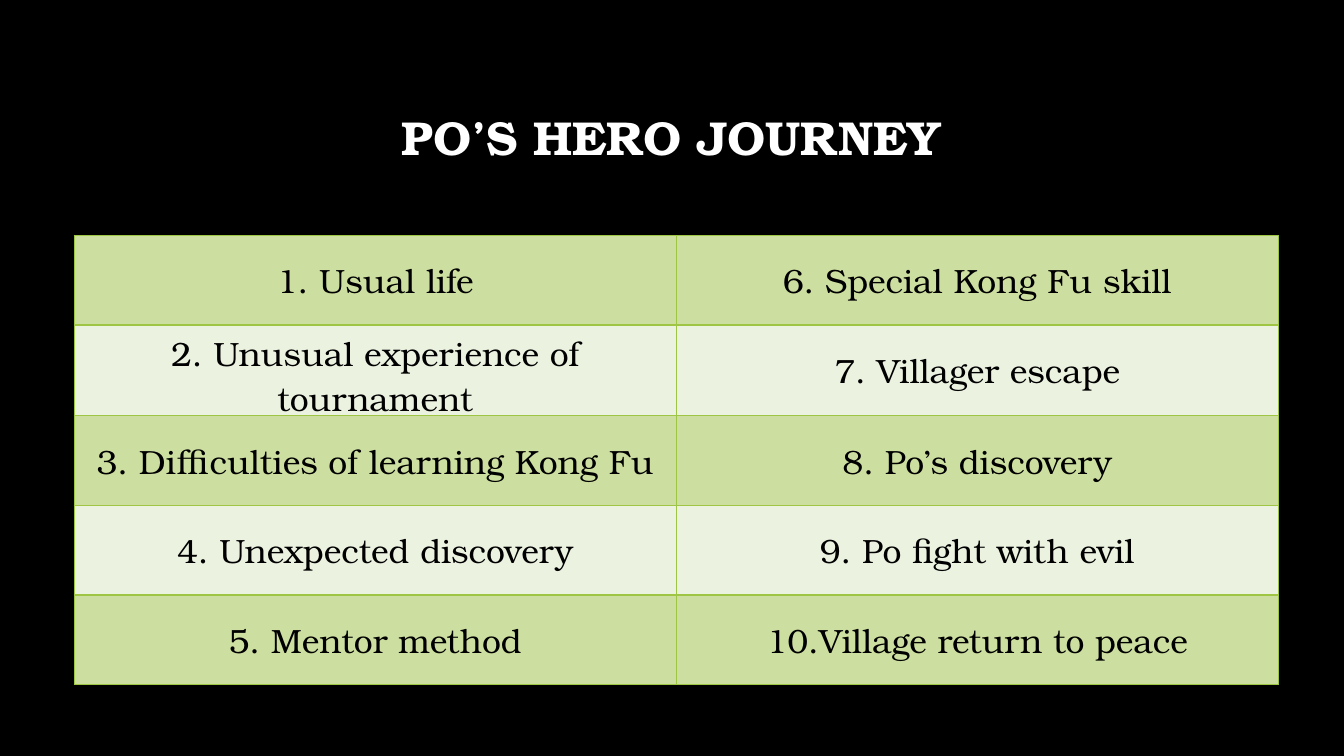
from lxml import etree
from pptx import Presentation
from pptx.dml.color import RGBColor
from pptx.enum import text
from pptx.oxml import ns
from pptx.util import Pt

BLACK = RGBColor(0x00, 0x00, 0x00)
WHITE = RGBColor(0xFF, 0xFF, 0xFF)
GREEN = RGBColor(0x9E, 0xC5, 0x44)
BAND_GREEN = RGBColor(0xCD, 0xDF, 0xA0)
PALE_GREEN = RGBColor(0xEB, 0xF2, 0xE0)
FONT = "TeX Gyre Bonum"

TITLE = "PO’S HERO JOURNEY"
STAGES = [
    ("1. Usual life", "6. Special Kong Fu skill"),
    ("2. Unusual experience of tournament", "7. Villager escape"),
    ("3. Difficulties of learning Kong Fu", "8. Po’s discovery"),
    ("4. Unexpected discovery", "9. Po fight with evil"),
    ("5. Mentor method", "10.Village return to peace"),
]


def write_centred(frame, words, size, color, bold=False):
    para = frame.paragraphs[0]
    para.alignment = text.PP_ALIGN.CENTER
    span = para.add_run()
    span.text = words
    span.font.name = FONT
    span.font.size = Pt(size)
    span.font.bold = bold
    span.font.color.rgb = color
    return para


def add_borders(cell, color, width):
    properties = cell._tc.get_or_add_tcPr()
    for side in ("a:lnL", "a:lnR", "a:lnT", "a:lnB"):
        line = etree.SubElement(properties, ns.qn(side), w=str(Pt(width)))
        fill = etree.SubElement(line, ns.qn("a:solidFill"))
        etree.SubElement(fill, ns.qn("a:srgbClr"), val=str(color))


def add_title(page, left, top, width, height):
    box = page.shapes.add_textbox(Pt(left), Pt(top), Pt(width), Pt(height))
    frame = box.text_frame
    frame.word_wrap = True
    frame.vertical_anchor = text.MSO_ANCHOR.MIDDLE
    para = write_centred(frame, TITLE, 34, WHITE, bold=True)
    para.line_spacing = 0.9


def add_stage_table(page, left, top, width, height):
    table = page.shapes.add_table(
        len(STAGES), 2, Pt(left), Pt(top), Pt(width), Pt(height)
    ).table
    table.first_row = False
    for row, stages in enumerate(STAGES):
        for column, stage in enumerate(stages):
            cell = table.cell(row, column)
            add_borders(cell, GREEN, 1)
            cell.fill.solid()
            cell.fill.fore_color.rgb = PALE_GREEN if row % 2 else BAND_GREEN
            cell.vertical_anchor = text.MSO_ANCHOR.MIDDLE
            write_centred(cell.text_frame, stage, 24, BLACK)


def main():
    deck = Presentation()
    deck.slide_width, deck.slide_height = Pt(960), Pt(540)
    page = deck.slides.add_slide(deck.slide_layouts[6])
    page.background.fill.solid()
    page.background.fill.fore_color.rgb = BLACK
    add_title(page, 72, 48, 815, 104.5)
    add_stage_table(page, 53, 168.2, 860, 320)
    deck.save("out.pptx")


if __name__ == "__main__":
    main()
